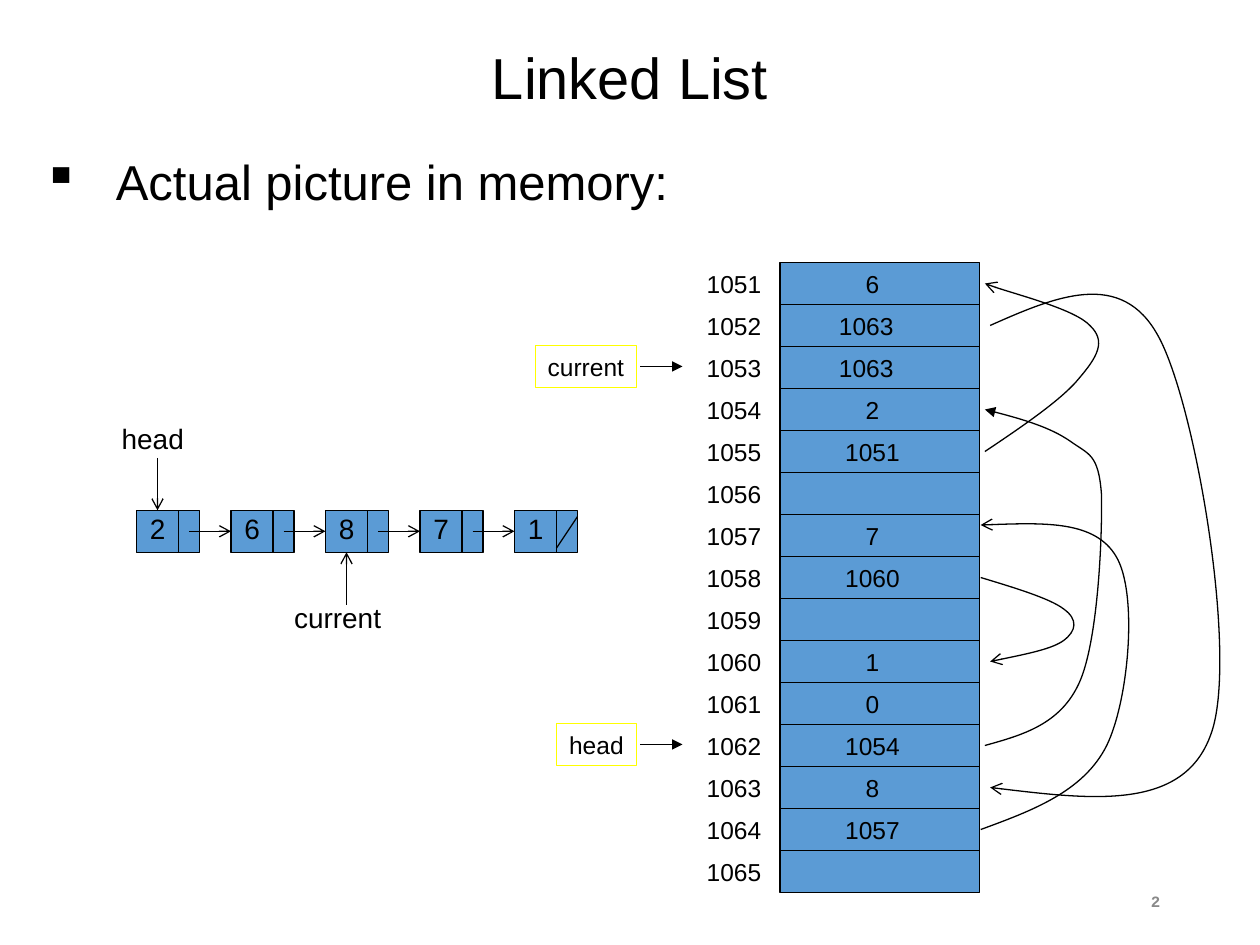
from itertools import pairwise

from lxml.etree import SubElement
from pptx import Presentation
from pptx.dml.color import RGBColor as Rgb
from pptx.enum.shapes import MSO_CONNECTOR as Link, MSO_SHAPE as Kind
from pptx.enum.text import MSO_ANCHOR as Anchor, MSO_AUTO_SIZE as Fit, PP_ALIGN as Align
from pptx.oxml.ns import qn
from pptx.util import Inches, Pt

HUES = {"ink": "000000", "cell": "5B9BD5", "mark": "FFFF00", "page": "898989"}
COLS, ROWS = 120, 90  # grid of the slide


def write(frame, text, size=14, hue="ink", font="Arial", bold=False,
          align=Align.CENTER, anchor=Anchor.TOP, space=None, wrap=False,
          bullet=None, hang=0.58):
    """Put one formatted paragraph into a text frame."""
    frame.auto_size = Fit.NONE
    frame.word_wrap = wrap
    frame.vertical_anchor = anchor
    frame.text = text
    par = frame.paragraphs[0]
    par.alignment = align
    if space:
        par.line_spacing = space
    if bullet:
        props = par._p.get_or_add_pPr()
        props.set("marL", str(Inches(hang)))
        props.set("indent", str(-Inches(hang)))
        SubElement(props, qn("a:buChar"), char=bullet)
    face = par.runs[0].font
    face.name, face.size, face.bold = font, Pt(size), bold
    face.color.rgb = Rgb.from_string(HUES[hue])


class Page:
    """Draws on one slide; lengths are grid columns and rows."""

    def __init__(self, deck):
        self.slide = deck.slides.add_slide(deck.slide_layouts[5])
        self.shapes = self.slide.shapes
        self.dx = deck.slide_width / COLS
        self.dy = deck.slide_height / ROWS
        self.width = Pt(0.75)

    def spot(self, x, y):
        return round(x * self.dx), round(y * self.dy)

    def pen(self, line, hue="ink", tip=None):
        line.width = self.width
        line.color.rgb = Rgb.from_string(HUES[hue])
        if tip:
            SubElement(line._get_or_add_ln(), qn("a:tailEnd"), type=tip)

    def title(self, text, x, y, w, h, **fmt):
        box = self.shapes.title
        box.left, box.top = self.spot(x, y)
        box.width, box.height = self.spot(w, h)
        write(box.text_frame, text, **fmt)

    def text(self, text, x, y, w, h, **fmt):
        box = self.shapes.add_textbox(*self.spot(x, y), *self.spot(w, h))
        write(box.text_frame, text, **fmt)
        return box

    def rect(self, x, y, w, h, fill=None, hue="ink", text=None):
        box = self.shapes.add_shape(Kind.RECTANGLE, *self.spot(x, y), *self.spot(w, h))
        box.shadow.inherit = False
        if fill:
            box.fill.solid()
            box.fill.fore_color.rgb = Rgb.from_string(HUES[fill])
        else:
            box.fill.background()
        self.pen(box.line, hue)
        if text:
            write(box.text_frame, text)
        return box

    def line(self, x1, y1, x2, y2, tip=None):
        link = self.shapes.add_connector(
            Link.STRAIGHT, *self.spot(x1, y1), *self.spot(x2, y2))
        self.pen(link.line, tip=tip)
        SubElement(link._element.spPr, qn("a:effectLst"))
        return link

    def curve(self, points, tip):
        """Draw a Bezier chain: a start, then three points per arc."""
        start, *rest = [self.spot(*p) for p in points]
        pen = self.shapes.build_freeform(*start)
        pen.add_line_segments(rest, close=False)
        form = pen.convert_to_shape()
        form.shadow.inherit = False
        form.fill.background()
        self.pen(form.line, tip=tip)
        # Each three straight steps become one cubic arc
        track = form._element.find(".//" + qn("a:path"))
        steps = track.findall(qn("a:lnTo"))
        for i in range(0, len(steps), 3):
            arc = SubElement(track, qn("a:cubicBezTo"))
            for step in steps[i:i + 3]:
                arc.append(step[0])
                track.remove(step)


deck = Presentation()
deck.slide_width, deck.slide_height = Inches(10), Inches(7.5)
page = Page(deck)

# Heading and bullet
page.title("Linked List", 6, 2.9, 108, 9.5, size=33, space=0.9,
           anchor=Anchor.MIDDLE, wrap=True)
body = page.text("Actual picture in memory:", 2.9, 14.3, 108, 9, size=28,
                 align=Align.LEFT, space=0.8, wrap=True, bullet="▪")
body.text_frame.margin_top = Inches(0.1)

# Memory block with addresses and values
LEFT, TOP, WIDE, STEP, FIRST = 74.3, 25, 19, 4, 1051
cells = ["6", "1063", "1063", "2", "1051", "", "7", "1060", "",
         "1", "0", "1054", "8", "1057", ""]
page.rect(LEFT, TOP, WIDE, STEP * len(cells), fill="cell")
for i, value in enumerate(cells):
    y = TOP + STEP * i
    if i:
        page.line(LEFT, y, LEFT + WIDE, y)
    page.text(str(FIRST + i), 66.1, y, 7.6, STEP)
    if value:
        shift = -0.6 if value == "1063" else 0
        page.text(value, 79.3 + shift, y, 7.6, STEP)

# Pointer variables beside the block
for name, place, x in [("current", 1053, 51), ("head", 1062, 53)]:
    y = TOP + STEP * (place - FIRST)
    page.rect(x, y - 0.1, 60.6 - x, STEP, hue="mark", text=name)
    page.line(61, y + STEP / 2 - 0.1, 65, y + STEP / 2 - 0.1, tip="triangle")

# Links between memory cells
curves = [
    ("arrow", [(93.8, 43), (97.4, 40.6), (101.2, 38), (102.8, 36), (104.5, 34),
               (105.4, 32.5), (103.8, 31), (102.4, 29.5), (95.5, 27.7), (93.8, 27)]),
    ("arrow", [(94.3, 31), (100.6, 28.2), (106.8, 25.6), (110.3, 32), (113.9, 38.5),
               (118, 62.9), (115.3, 70), (112.7, 77.2), (103.4, 76.1), (94.3, 75)]),
    ("arrow", [(93.4, 79), (98.3, 77.2), (103.2, 75.4), (105.4, 71), (107.5, 66.7),
               (108.4, 56.5), (106.3, 53), (104.3, 49.6), (98.9, 49.8), (93.4, 50)]),
    ("arrow", [(93.4, 55), (96.7, 56), (100, 57), (101.3, 58), (102.7, 59),
               (102.5, 60.1), (101.3, 61), (100.2, 61.8), (97.2, 62.4), (94.3, 63)]),
    ("triangle", [(93.8, 71), (97.4, 70), (101, 69), (102.8, 65), (104.6, 61),
                  (105, 50.9), (104.9, 47), (104.6, 43.2), (103.7, 43.3),
                  (101.9, 42), (100, 40.7), (97, 39.8), (93.8, 39)]),
]
for tip, points in curves:
    page.curve(points, tip)

# Chain of nodes
NODE, HIGH, GAP = 13, 48.6, 9
nodes = []
for i, value in enumerate("26871"):
    x = NODE + GAP * i
    nodes.append(page.rect(x, HIGH, 6, 4, fill="cell"))
    page.line(x + 4, HIGH, x + 4, HIGH + 4)
    page.text(value, x, HIGH - 0.5, 4, 4.4, size=16)
for i, (_, goal) in enumerate(pairwise(nodes)):
    x = NODE + GAP * i
    link = page.line(x + 5, HIGH + 2, x + GAP, HIGH + 2, tip="arrow")
    link.end_connect(goal, 1)
page.line(55, HIGH + 0.6, 53, HIGH + 3.6)

# Names of the chain's pointers
page.text("head", 10.4, 39.6, 8.3, 4.4, size=16)
page.line(15, 43.6, 15, HIGH, tip="arrow")
page.text("current", 26.8, 56.6, 10.7, 4.4, size=16)
page.line(33, 57.6, 33, HIGH + 4, tip="arrow")

# Page number
page.text("2", 84.7, 83.4, 27, 4.8, size=9, hue="page", font="Courier New",
          bold=True, align=Align.RIGHT, anchor=Anchor.MIDDLE, wrap=True)

deck.save("out.pptx")
